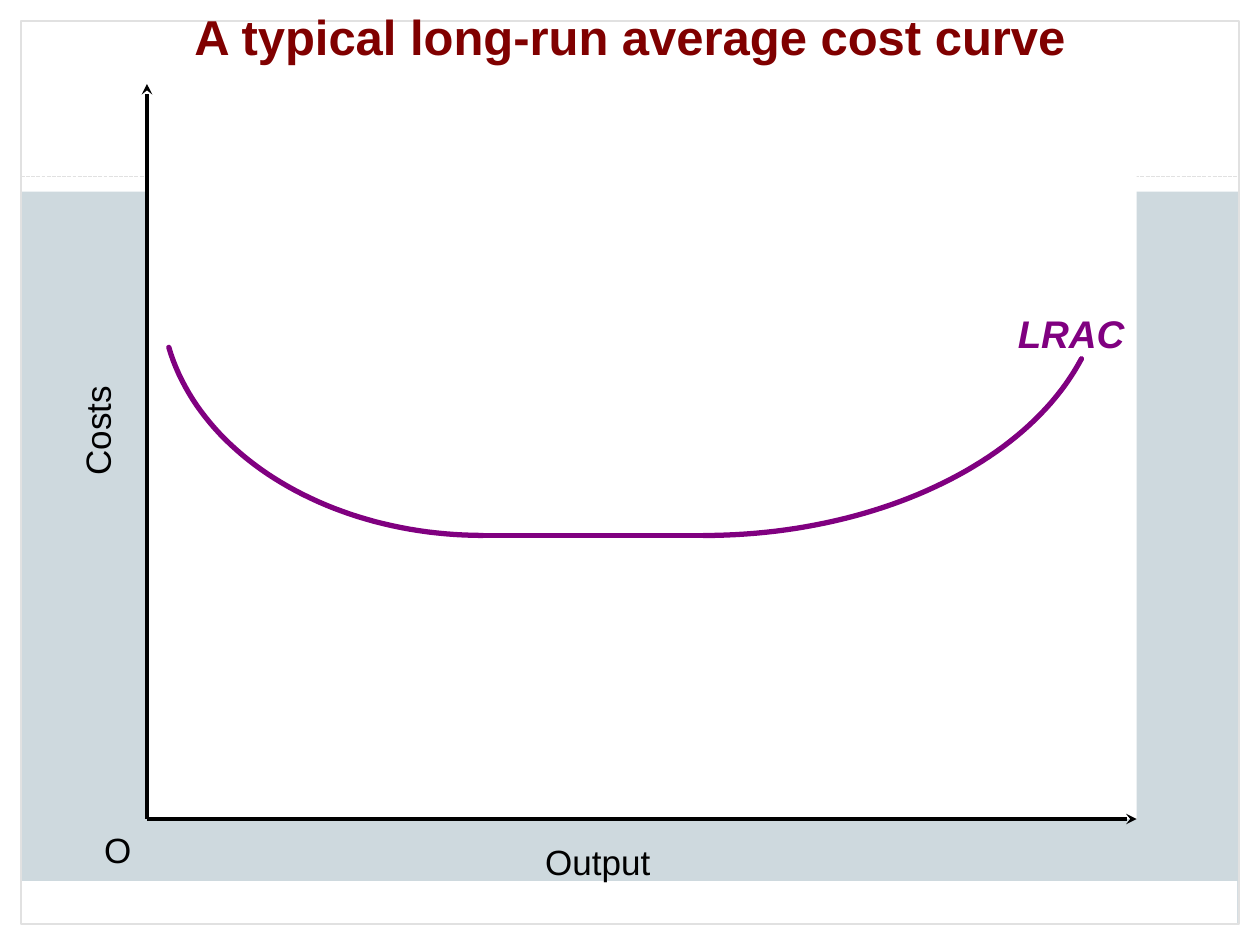
from lxml import etree
from pptx import Presentation
from pptx.dml.color import RGBColor
from pptx.enum.dml import MSO_LINE
from pptx.enum.shapes import MSO_CONNECTOR, MSO_SHAPE
from pptx.enum.text import PP_ALIGN
from pptx.oxml.ns import qn
from pptx.util import Pt

RECT = MSO_SHAPE.RECTANGLE
STRAIGHT = MSO_CONNECTOR.STRAIGHT
CENTER = PP_ALIGN.CENTER
DASH = MSO_LINE.SQUARE_DOT

W, H = 720, 540
MARGIN = 12
LEFT, TOP, RIGHT, BOTTOM = 84, 48, 649.5, 468
CURVE_Y = 306
BLACK, WHITE, GREY = "000000", "FFFFFF", "E1E1E1"
PURPLE, MAROON = "800080", "800000"


def color(hex_value):
    return RGBColor.from_string(hex_value)


def set_line(s, hex_value, width):
    s.line.color.rgb = color(hex_value)
    s.line.width = Pt(width)


def add_rect(slide, x, y, w, h, fill=None, line=None):
    s = slide.shapes.add_shape(RECT, Pt(x), Pt(y), Pt(w), Pt(h))
    s.shadow.inherit = False
    if fill:
        s.fill.solid()
        s.fill.fore_color.rgb = color(fill)
    else:
        s.fill.background()
    if line:
        set_line(s, line, 0.75)
    else:
        s.line.fill.background()


def add_line(slide, start, end, hex_value, width, arrow=False, dash=None):
    s = slide.shapes.add_connector(STRAIGHT, *[Pt(v) for v in (*start, *end)])
    set_line(s, hex_value, width)
    if dash:
        s.line.dash_style = dash
    if arrow:
        etree.SubElement(s.line._get_or_add_ln(), qn("a:tailEnd"), type="stealth")
    etree.SubElement(s._element.spPr, qn("a:effectLst"))


def bezier_point(points, t):
    weights = ((1 - t) ** 3, 3 * t * (1 - t) ** 2, 3 * t * t * (1 - t), t ** 3)
    return tuple(Pt(sum(w * p[i] for w, p in zip(weights, points))) for i in (0, 1))


def add_curve(slide, points, hex_value, width, steps=48):
    start, *rest = [bezier_point(points, i / steps) for i in range(steps + 1)]
    builder = slide.shapes.build_freeform(*start, scale=1.0)
    builder.add_line_segments(rest, close=False)
    s = builder.convert_to_shape()
    s.shadow.inherit = False
    s.fill.background()
    set_line(s, hex_value, width)
    s.line._get_or_add_ln().set("cap", "rnd")


def add_text(slide, text, x, y, w, h, size=20, hex_value=BLACK, bold=False,
             italic=False, align=None, rotation=0, wrap=False):
    s = slide.shapes.add_textbox(Pt(x), Pt(y), Pt(w), Pt(h))
    s.rotation = rotation
    tf = s.text_frame
    tf.word_wrap = wrap
    tf.text = text
    p = tf.paragraphs[0]
    p.alignment = align
    r = p.runs[0]
    r.font.name = "Arial"
    r.font.size = Pt(size)
    r.font.bold = bold
    r.font.italic = italic
    r.font.color.rgb = color(hex_value)
    return r


def add_text_shadow(r):
    effects = etree.Element(qn("a:effectLst"))
    shadow = etree.SubElement(effects, qn("a:outerShdw"),
                              dist=str(Pt(1.5)), dir="2700000")
    etree.SubElement(shadow, qn("a:srgbClr"), val=BLACK)
    r.font._element.find(qn("a:solidFill")).addnext(effects)


def add_backdrop(slide):
    slide.background.fill.solid()
    slide.background.fill.fore_color.rgb = color("CED9DE")
    for box in ((0, H - MARGIN, W, MARGIN), (0, 0, W, 109.5),
                (0, 0, MARGIN, H), (W - MARGIN, 0, MARGIN, H),
                (11.5, 503.5, 695.5, 24.5)):
        add_rect(slide, *box, fill=WHITE)
    add_rect(slide, MARGIN, MARGIN, W - 2 * MARGIN, H - 2 * MARGIN, line=GREY)
    add_line(slide, (MARGIN, 100.8), (W - MARGIN, 100.8), GREY, 0.75, dash=DASH)


def add_axes(slide):
    add_rect(slide, LEFT, TOP, RIGHT - LEFT, BOTTOM - TOP, fill=WHITE)
    for tip in ((LEFT, TOP), (RIGHT, BOTTOM)):
        add_line(slide, (LEFT, BOTTOM), tip, BLACK, 2, arrow=True)
    add_text(slide, "Output", 304.5, 476.5, 75, 31)
    add_text(slide, "O", 52.5, 470, 30, 31)
    add_text(slide, "Costs", 22.5, 230.5, 65.5, 31, rotation=270)


def add_cost_curve(slide):
    falling = ((276, CURVE_Y), (190, CURVE_Y), (115, 261.5), (96.5, 198.5))
    rising = ((402, CURVE_Y), (499, CURVE_Y), (586, 265.5), (618, 205))
    add_curve(slide, falling, PURPLE, 3)
    add_line(slide, falling[0], rising[0], PURPLE, 3)
    add_curve(slide, rising, PURPLE, 3)
    add_text(slide, "LRAC", 574.5, 173.5, 75.5, 34, size=22,
             hex_value=PURPLE, bold=True, italic=True)


def main():
    prs = Presentation()
    prs.slide_width, prs.slide_height = Pt(W), Pt(H)
    slide = prs.slides.add_slide(prs.slide_layouts[6])
    add_backdrop(slide)
    add_axes(slide)
    add_cost_curve(slide)
    title = add_text(slide, "A typical long-run average cost curve", 0, 0, W, 41,
                     size=28, hex_value=MAROON, bold=True, align=CENTER, wrap=True)
    add_text_shadow(title)
    prs.save("out.pptx")


if __name__ == "__main__":
    main()
